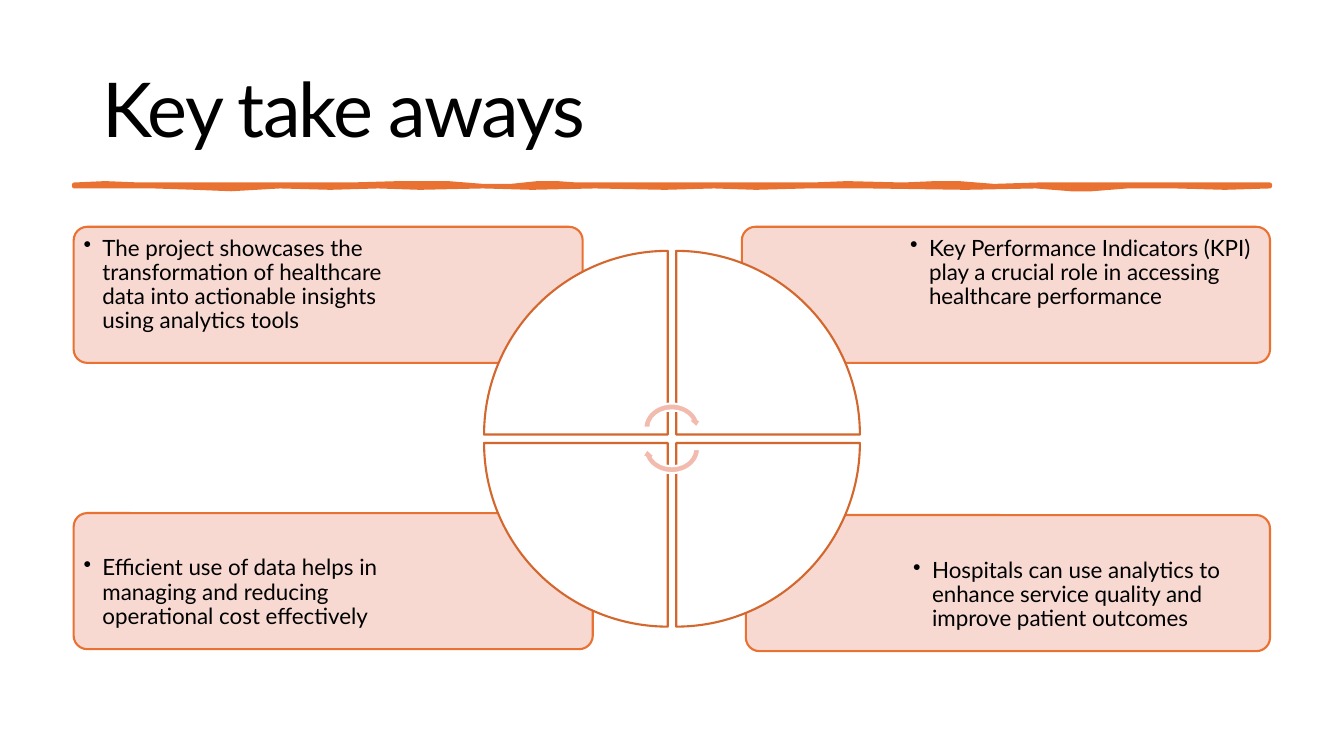
from lxml import etree
from pptx import Presentation
from pptx.dml.color import RGBColor
from pptx.enum import shapes, text
from pptx.oxml.ns import qn
from pptx.util import Pt

COLORS = {"orange": "E97132", "rust": "D3672D", "card": "F7D5CE",
          "arrow": "F2BBAE", "white": "FFFFFF", "black": "000000"}
FONT = "Lato"

prs = Presentation()
prs.slide_width, prs.slide_height = Pt(960), Pt(540)
s = prs.slides.add_slide(prs.slide_layouts[6])


def paint(sp, fill, line, width):
    sp.shadow.inherit = False
    sp.fill.solid()
    sp.fill.fore_color.rgb = RGBColor.from_string(COLORS[fill])
    sp.line.color.rgb = RGBColor.from_string(COLORS[line])
    sp.line.width = Pt(width)


def add_text(left, top, width, height, inset, anchor, words, size):
    sp = s.shapes.add_textbox(Pt(left), Pt(top), Pt(width), Pt(height))
    tf = sp.text_frame
    tf.word_wrap = True
    tf.vertical_anchor = anchor
    tf.margin_left = tf.margin_right = Pt(inset[0])
    tf.margin_top = tf.margin_bottom = Pt(inset[1])
    p = tf.paragraphs[0]
    p.line_spacing = 0.9
    r = p.add_run()
    r.text = words
    r.font.size = Pt(size)
    r.font.name = FONT
    r.font.color.rgb = RGBColor.from_string(COLORS["black"])
    return p, r


p, r = add_text(66.2, 28.8, 828, 104.4, (7.2, 3.6),
                text.MSO_ANCHOR.MIDDLE, "Key take aways", 54)
p.space_after = Pt(6)
r._r.get_or_add_rPr().set("spc", "-130")

rule_top = [(53, 132), (75, 131.3), (100, 132), (130, 132.5), (165, 131.6),
            (205, 132), (250, 132), (285, 131), (305, 130.7), (320, 131),
            (345, 132.8), (365, 132.8), (384, 131.4), (398, 131), (412, 131.8),
            (465, 132), (510, 131.6), (535, 132.2), (580, 132), (605, 131.4),
            (645, 132.2), (668, 131), (685, 131.2), (710, 132.6), (741, 131.8),
            (775, 132.3), (803, 131.6), (850, 132.3), (907, 132)]
rule_bottom = [(907, 133.4), (875, 134.2), (840, 133.4), (805, 133.2),
               (780, 135), (765, 134.6), (740, 133.2), (690, 134),
               (621, 133.4), (576, 133.4), (540, 134.4), (510, 133.2),
               (475, 134.2), (425, 133.4), (380, 134.2), (345, 133.4),
               (300, 134), (270, 133.2), (236, 133.8), (200, 133.4),
               (165, 134.8), (140, 134.4), (110, 133), (80, 132.8), (53, 133.4)]
outline = rule_top + rule_bottom
fb = s.shapes.build_freeform(outline[0][0], outline[0][1], scale=Pt(1))
fb.add_line_segments(outline[1:], close=True)
paint(fb.convert_to_shape(), "orange", "orange", 3.25)

takeaways = [
    (532.8, 367.9, 374.4, 647.3, 394.5, 257.8,
     "Hospitals can use analytics to enhance service quality and improve patient outcomes"),
    (52.6, 366.5, 370.8, 54.7, 392.6, 255.6,
     "Efficient use of data helps in managing and reducing operational cost effectively"),
    (529.9, 162, 377.3, 645.1, 164.2, 259.9,
     "Key Performance Indicators (KPI) play a crucial role in accessing healthcare performance"),
    (52.6, 162, 363.6, 54.7, 164.2, 250.6,
     "The project showcases the transformation of healthcare data into actionable insights using analytics tools"),
]
for left, top, width, text_left, text_top, text_width, words in takeaways:
    card = s.shapes.add_shape(shapes.MSO_SHAPE.ROUNDED_RECTANGLE,
                              Pt(left), Pt(top), Pt(width), Pt(97.2))
    card.adjustments[0] = 0.1
    paint(card, "card", "orange", 1.5)
    rgb = card._element.spPr.find(qn("a:solidFill"))[0]
    etree.SubElement(rgb, qn("a:alpha")).set("val", "90000")
    p, r = add_text(text_left, text_top, text_width, 68.4, (5, 5),
                    text.MSO_ANCHOR.TOP, words, 16)
    pPr = p._p.get_or_add_pPr()
    pPr.set("marL", str(Pt(13.5)))
    pPr.set("indent", str(-Pt(13.5)))
    etree.SubElement(pPr, qn("a:buChar")).set("char", "•")

WEDGE, WEDGE_LEFT, WEDGE_TOP, WEDGE_STEP = 131.2, 345.8, 179.2, 137.2
for i, (col, row) in enumerate([(0, 0), (1, 0), (1, 1), (0, 1)]):
    wedge = s.shapes.add_shape(shapes.MSO_SHAPE.PIE_WEDGE,
                               Pt(WEDGE_LEFT + col * WEDGE_STEP),
                               Pt(WEDGE_TOP + row * WEDGE_STEP), Pt(WEDGE), Pt(WEDGE))
    wedge.rotation = 90 * i
    paint(wedge, "white", "rust", 1.5)

for top, angle in [(285.8, 0), (301, 180)]:
    arrow = s.shapes.add_shape(shapes.MSO_SHAPE.CIRCULAR_ARROW,
                               Pt(457.2), Pt(top), Pt(45.3), Pt(39.4))
    arrow.rotation = angle
    paint(arrow, "arrow", "white", 1.5)

prs.save("out.pptx")
